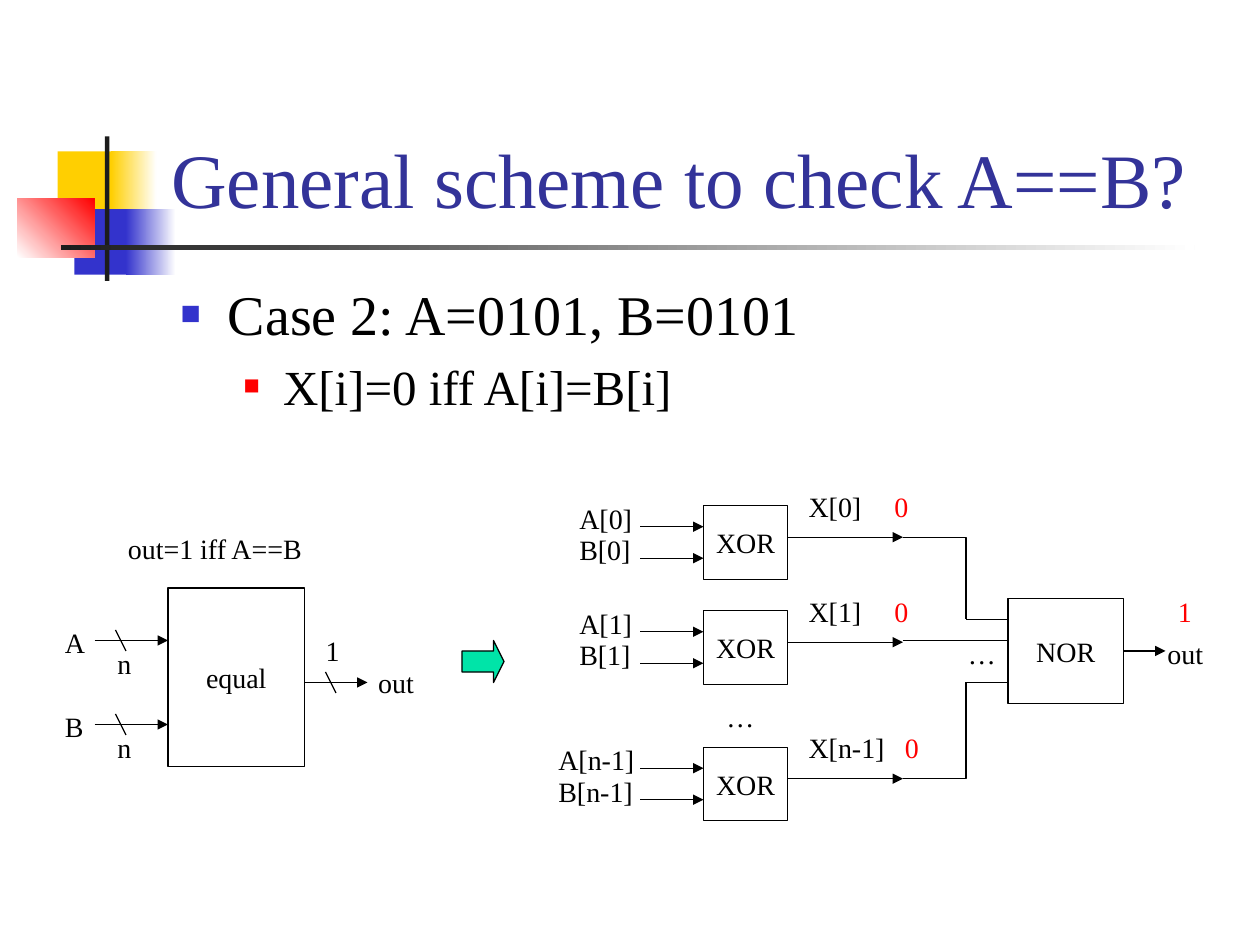
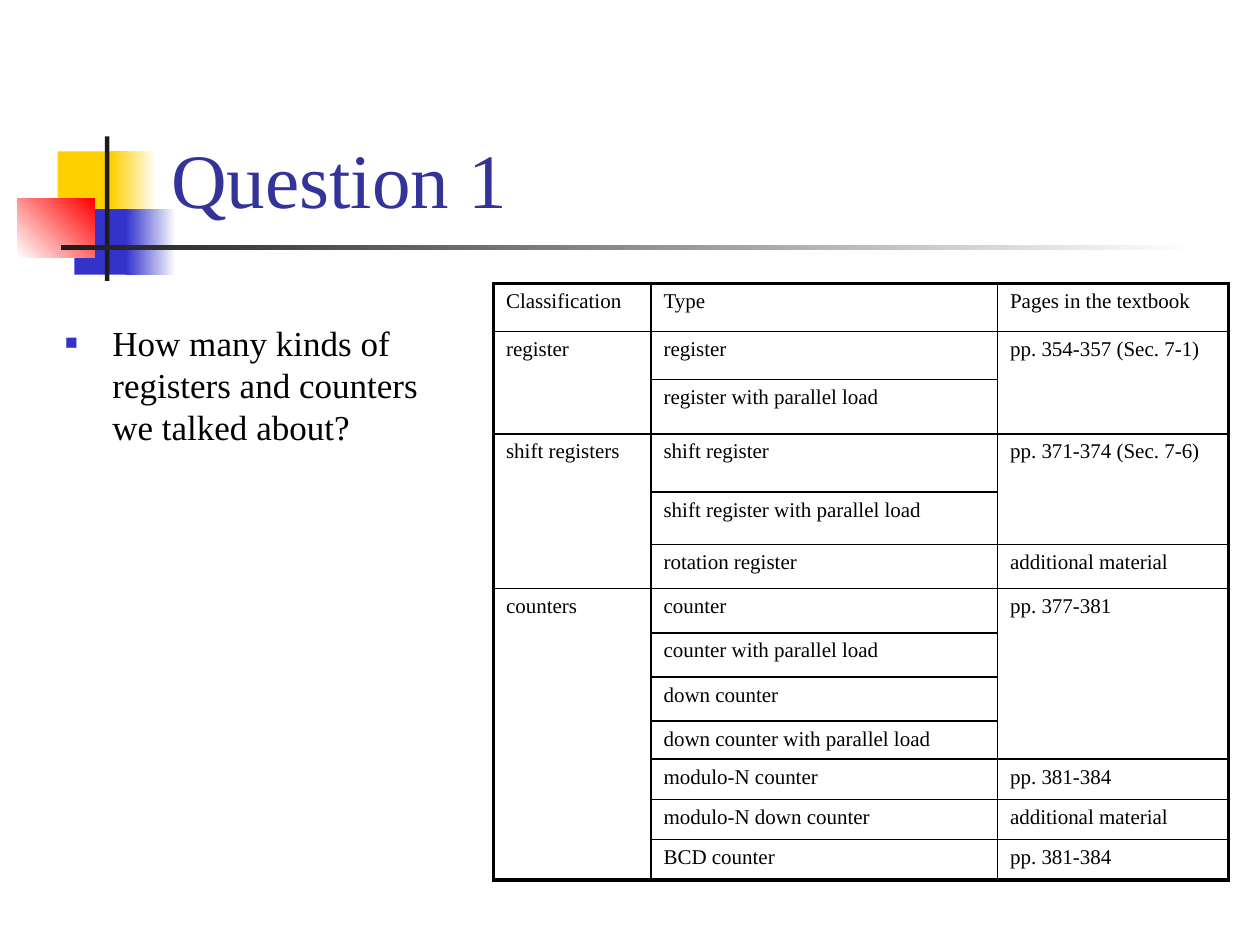
from pptx import Presentation
from pptx.dml.color import RGBColor
from pptx.enum.shapes import MSO_CONNECTOR as CXN, MSO_SHAPE as SHAPE
from pptx.enum.text import MSO_ANCHOR as ANCHOR, MSO_AUTO_SIZE as FIT, PP_ALIGN as ALIGN
from pptx.oxml.ns import qn
from pptx.util import Pt
from lxml.etree import SubElement

FONT = "Times New Roman"
COLORS = {
    "title": "333399", "text": "000000", "blue": "3333CC", "red": "FF0000",
    "yellow": "FFCF01", "white": "FFFFFF", "dark": "1C1C1C", "green": "00E4A8",
}
BULLETS = [("blue", 60, 27, -27), ("red", 55, 58.5, -22.5)]
DECOR = [
    (33, 86.5, 34.5, 37.5, ["yellow"], 0),
    (63.5, 86.5, 26, 37.5, ["yellow", "white"], 0),
    (42.5, 119.5, 33, 37.5, ["blue"], 0),
    (72, 119.5, 28.5, 37.5, ["blue", "white"], 0),
    (10, 113.5, 44, 33.5, ["white", "red"], 45),
    (60, 78, 2.5, 82.5, ["dark"], 0),
    (34.75, 140, 648, 2.75, ["dark", "white"], 0),
]
ROWS = [
    ("Classification", "Type", "Pages in the textbook"),
    ("register", "register", "pp. 354-357 (Sec. 7-1)"),
    ("", "register with parallel load", ""),
    ("shift registers", "shift register", "pp. 371-374 (Sec. 7-6)"),
    ("", "shift register with parallel load", ""),
    ("", "rotation register", "additional material"),
    ("counters", "counter", "pp. 377-381"),
    ("", "counter with parallel load", ""),
    ("", "down counter", ""),
    ("", "down counter with parallel load", ""),
    ("", "modulo-N counter", "pp. 381-384"),
    ("", "modulo-N down counter", "additional material"),
    ("", "BCD counter", "pp. 381-384"),
]
ROW_HEIGHTS = [27.5, 27.5, 31, 33.25, 30, 25.25, 25.25, 25.25, 25.25, 21.75, 23, 23, 23]
COL_WIDTHS = [90, 198, 132]


def rgb(name):
    """Return the named colour."""
    return RGBColor.from_string(COLORS[name])


def pts(*values):
    """Convert numbers to lengths in points."""
    return [Pt(v) for v in values]


def write(p, text, size=16, color="text", align=None):
    """Put one formatted run in a paragraph."""
    r = p.add_run()
    r.text = text
    r.font.name, r.font.size = FONT, Pt(size)
    r.font.color.rgb = rgb(color)
    if align is not None:
        p.alignment = align


def label(shapes, text, x, y, w, color="text"):
    """Add a one-line text box."""
    tf = shapes.add_textbox(*pts(x, y, w, 26.5)).text_frame
    tf.word_wrap = False
    write(tf.paragraphs[0], text, color=color)


def block(shapes, x, y, w, h, text="", kind=SHAPE.RECTANGLE, fill=None):
    """Add an outlined shape with centred text."""
    sp = shapes.add_shape(kind, *pts(x, y, w, h))
    sp.shadow.inherit = False
    if fill:
        sp.fill.solid()
        sp.fill.fore_color.rgb = rgb(fill)
    else:
        sp.fill.background()
    sp.line.color.rgb, sp.line.width = rgb("text"), Pt(0.75)
    if text:
        tf = sp.text_frame
        tf.word_wrap, tf.vertical_anchor = False, ANCHOR.MIDDLE
        write(tf.paragraphs[0], text, align=ALIGN.CENTER)
    return sp


def wire(shapes, x1, y1, x2, y2, arrow=False, elbow=False):
    """Add a thin connector; an elbow runs across first, then up or down."""
    kind = CXN.ELBOW if elbow else CXN.STRAIGHT
    c = shapes.add_connector(kind, *pts(x1, y1, x2, y2))
    c.line.color.rgb, c.line.width = rgb("text"), Pt(0.75)
    sp_pr = c.element.spPr
    if arrow:
        SubElement(sp_pr.find(qn("a:ln")), qn("a:tailEnd"), type="triangle")
    if elbow:
        geom = sp_pr.find(qn("a:prstGeom"))
        SubElement(geom.find(qn("a:avLst")), qn("a:gd"), name="adj1", fmla="val 100000")
    SubElement(sp_pr, qn("a:effectLst"))
    return c


def decorate(layout, s):
    """Place the coloured squares and rules on the shared layout."""
    first = layout.shapes[0].element
    for x, y, w, h, colors, angle in DECOR:
        sp = s.shapes.add_shape(SHAPE.RECTANGLE, *pts(x, y, w, h))
        sp.shadow.inherit = False
        sp.line.fill.background()
        if len(colors) == 1:
            sp.fill.solid()
            sp.fill.fore_color.rgb = rgb(colors[0])
        else:
            sp.fill.gradient()
            sp.fill.gradient_angle = angle
            for stop, color in zip(sp.fill.gradient_stops, colors):
                stop.color.rgb = rgb(color)
        first.addprevious(sp.element)


def place(sp, x, y, w, h):
    """Move a placeholder and return its text frame."""
    sp.left, sp.top, sp.width, sp.height = pts(x, y, w, h)
    sp.text_frame.auto_size = FIT.NONE
    return sp.text_frame


def add_title(s, text):
    """Fill the title placeholder."""
    tf = place(s.shapes.title, 90.75, 16.5, 613.5, 115)
    tf.vertical_anchor = ANCHOR.BOTTOM
    write(tf.paragraphs[0], text, size=44, color="title", align=ALIGN.LEFT)


def add_body(s, box, items):
    """Fill the body placeholder with (text, size) items, one level deeper each."""
    tf = place(s.placeholders[1], *box)
    for level, (text, size) in enumerate(items):
        p = tf.add_paragraph() if level else tf.paragraphs[0]
        p.level = level
        write(p, text, size=size)
        color, percent, margin, indent = BULLETS[level]
        p_pr = p._p.get_or_add_pPr()
        p_pr.set("marL", str(Pt(margin)))
        p_pr.set("indent", str(Pt(indent)))
        SubElement(SubElement(p_pr, qn("a:buClr")), qn("a:srgbClr"), val=COLORS[color])
        SubElement(p_pr, qn("a:buSzPct"), val=str(percent * 1000))
        SubElement(p_pr, qn("a:buFont"), typeface=FONT)
        SubElement(p_pr, qn("a:buChar"), char="■")


def add_equal_block(s, x, y):
    """Draw the comparator as one block with two buses in and one bit out."""
    g = s.shapes.add_group_shape().shapes
    block(g, x + 66, y, 78, 102, "equal")
    for name, dy in (("A", 30), ("B", 78)):
        wire(g, x + 24, y + dy, x + 66, y + dy, arrow=True)
        wire(g, x + 36, y + dy - 6, x + 42, y + dy + 6)
        label(g, "n", x + 30, y + dy, 22.5)
        label(g, name, x, y + dy - 12, 25.5)
    wire(g, x + 144, y + 54, x + 180, y + 54, arrow=True)
    wire(g, x + 156, y + 48, x + 162, y + 60)
    label(g, "out", x + 179, y + 40.5, 35.5)
    label(g, "1", x + 149, y + 22.5, 22.5)
    label(s.shapes, "out=1 iff A==B", x + 36, y - 36, 115)


def add_xor(g, x, y, index, label_x, label_w):
    """Draw one XOR gate with its input and output wires."""
    block(g, x, y, 48, 42, "XOR")
    for name, dy in (("A", 12), ("B", 30)):
        wire(g, x - 36, y + dy, x, y + dy, arrow=True)
        label(g, f"{name}[{index}]", label_x, y + dy - 18, label_w)
    wire(g, x + 48, y + 18, x + 114, y + 18, arrow=True)
    label(g, f"X[{index}]", x + 53, y - 13, label_w)


def add_gate_network(s, x, y):
    """Draw the XOR column feeding a NOR gate, with the bit values in red."""
    g = s.shapes.add_group_shape().shapes
    gates = [("0", 0, -78, 45, 102), ("1", 60, -78, 45, 102), ("n-1", 138, -90, 58, 108)]
    for index, dy, label_dx, label_w, bit_dx in gates:
        add_xor(g, x, y + dy, index, x + label_dx, label_w)
        label(s.shapes, "0", x + bit_dx, y + dy - 13, 22.5, color="red")
    label(g, "…", x + 6, y + 107, 30)
    nor = block(g, x + 174, y + 53, 66, 60, "NOR")
    out = wire(g, x + 240, y + 83, x + 264, y + 83, arrow=True)
    out.begin_connect(nor, 3)
    label(g, "out", x + 258, y + 71, 35.5)
    label(g, "…", x + 144, y + 71, 30)
    for start, end in ((18, 65), (77, 77), (156, 101)):
        wire(g, x + 114, y + start, x + 150, y + end, elbow=start != end)
        wire(g, x + 174, y + end, x + 150, y + end)
    label(s.shapes, "1", x + 264, y + 47, 22.5, color="red")


def set_borders(cell, widths):
    """Draw the four cell borders, given as side: width."""
    tc_pr = cell._tc.get_or_add_tcPr()
    for side, width in widths.items():
        ln = SubElement(tc_pr, qn(f"a:ln{side}"), w=str(Pt(width)))
        SubElement(SubElement(ln, qn("a:solidFill")), qn("a:srgbClr"), val=COLORS["text"])


def add_register_table(s, x, y):
    """Build the table; a blank entry joins the cell above it."""
    n, m = len(ROWS), len(COL_WIDTHS)
    size = pts(x, y, sum(COL_WIDTHS), sum(ROW_HEIGHTS))
    table = s.shapes.add_table(n, m, *size).table
    table.first_row = table.horz_banding = False
    for col, width in zip(table.columns, COL_WIDTHS):
        col.width = Pt(width)
    for row, height in zip(table.rows, ROW_HEIGHTS):
        row.height = Pt(height)
    for j in range(m):
        starts = [i for i in range(n) if ROWS[i][j]]
        for i, end in zip(starts, starts[1:] + [n]):
            cell = table.cell(i, j)
            if end - i > 1:
                cell.merge(table.cell(end - 1, j))
            write(cell.text_frame.paragraphs[0], ROWS[i][j], size=12)
            edges = {"L": j == 0, "R": j == m - 1, "T": i == 0, "B": end == n}
            set_borders(cell, {k: 2.25 if outer else 1 for k, outer in edges.items()})
            cell.fill.background()


def main():
    """Build the two slides."""
    prs = Presentation()
    prs.slide_width, prs.slide_height = pts(720, 540)
    layout = prs.slide_layouts[1]

    s = prs.slides.add_slide(layout)
    decorate(layout, s)
    add_title(s, "General scheme to check A==B?")
    add_body(s, (96, 156, 612, 90),
             [("Case 2: A=0101, B=0101", 32), ("X[i]=0 iff A[i]=B[i]", 28)])
    add_equal_block(s, 30, 336)
    add_gate_network(s, 402, 289)
    arrow = block(s.shapes, 264, 366, 24, 24, kind=SHAPE.RIGHT_ARROW, fill="green")
    arrow.adjustments[0], arrow.adjustments[1] = 0.5, 0.25

    s = prs.slides.add_slide(layout)
    add_title(s, "Question 1")
    add_body(s, (30, 180, 240, 90),
             [("How many kinds of registers and counters we talked about?", 20)])
    add_register_table(s, 282, 162)
    prs.save("out.pptx")


if __name__ == "__main__":
    main()
